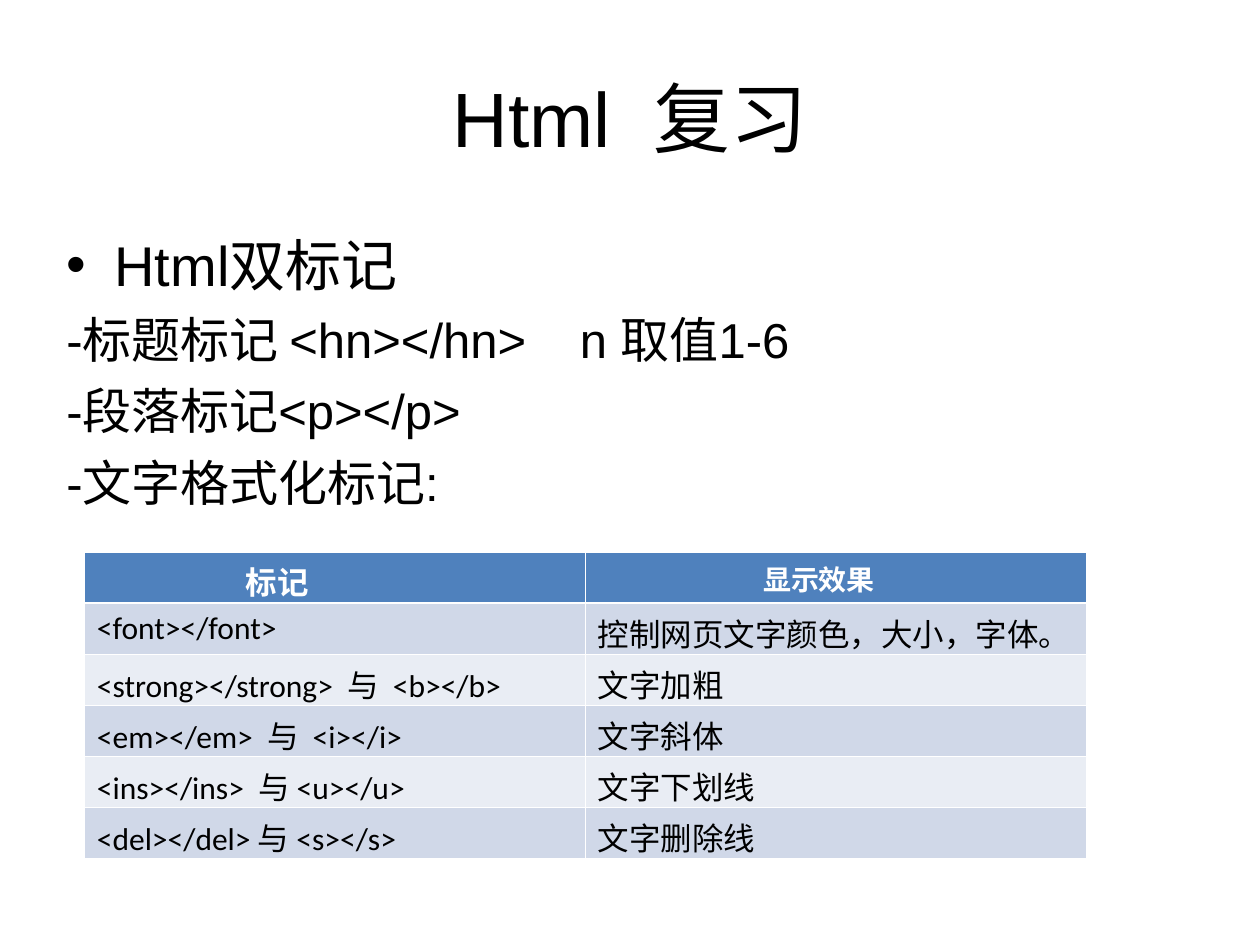
from dataclasses import dataclass

from lxml import etree
from pptx import Presentation
from pptx.dml.color import RGBColor
from pptx.enum.text import MSO_ANCHOR, PP_ALIGN
from pptx.oxml.ns import qn
from pptx.slide import Slide
from pptx.util import Cm, Pt

CENTER = PP_ALIGN.CENTER
LEFT = PP_ALIGN.LEFT
MIDDLE = MSO_ANCHOR.MIDDLE
TOP = MSO_ANCHOR.TOP

COLORS = {
    "ink": "000000",
    "paper": "FFFFFF",
    "header": "4F81BD",
    "odd": "D0D8E8",
    "even": "E9EDF4",
}
THIN, THICK = 0.45, 1.47

TITLE = ("Html", 12, "复习")
TOPIC = ("Html双标记",)
TAG_KINDS = [
    ("-标题标记 <hn></hn>", 23, "n 取值1-6"),
    ("-段落标记<p></p>",),
    ("-文字格式化标记:",),
]
HEADINGS = [("标记", 18, 3.0), ("显示效果", 16, 3.33)]
FORMAT_TAGS = [
    (("<font></font>",), "控制网页文字颜色，大小，字体。"),
    (("<strong></strong>", 4, "与", 4, "<b></b>"), "文字加粗"),
    (("<em></em>", 4, "与", 4, "<i></i>"), "文字斜体"),
    (("<ins></ins>", 4, "与 <u></u>"), "文字下划线"),
    (("<del></del> 与 <s></s>",), "文字删除线"),
]


@dataclass
class SlideBuilder:
    slide: Slide
    text_font: str = "Arial"
    table_font: str = "Calibri"

    def color(self, name):
        return RGBColor.from_string(COLORS[name])

    def add_runs(self, paragraph, pieces, size, font, color="ink", bold=False):
        for piece in pieces:
            run = paragraph.add_run()
            if isinstance(piece, str):
                run.text = piece
            else:
                run.text = " "
                run.font._element.set("spc", str(piece * 100))
            run.font.name = font
            run.font.size = Pt(size)
            run.font.bold = bold
            run.font.color.rgb = self.color(color)

    def text_box(self, left, top, width, height, anchor=TOP):
        box = self.slide.shapes.add_textbox(Cm(left), Cm(top), Cm(width), Cm(height))
        frame = box.text_frame
        frame.word_wrap = True
        frame.vertical_anchor = anchor
        return frame

    def title(self, pieces):
        frame = self.text_box(1.27, 0.76, 22.86, 3.18, MIDDLE)
        paragraph = frame.paragraphs[0]
        paragraph.alignment = CENTER
        self.add_runs(paragraph, pieces, 44, self.text_font)

    def hang(self, paragraph, bullet=None):
        properties = paragraph._p.get_or_add_pPr()
        properties.set("marL", str(Cm(0.97)))
        properties.set("indent", str(-Cm(0.97)))
        if bullet:
            font = etree.SubElement(properties, qn("a:buFont"))
            font.set("typeface", self.text_font)
            etree.SubElement(properties, qn("a:buChar")).set("char", bullet)
        else:
            etree.SubElement(properties, qn("a:buNone"))

    def outline(self, topic, lines):
        frame = self.text_box(1.09, 4.52, 22.86, 12.57)
        heading = frame.paragraphs[0]
        self.hang(heading, "•")
        self.add_runs(heading, topic, 32, self.text_font)
        for line in lines:
            paragraph = frame.add_paragraph()
            self.hang(paragraph)
            paragraph.space_before = Pt(7)
            self.add_runs(paragraph, line, 28, self.text_font)

    def borders(self, cell, top, bottom):
        properties = cell._tc.get_or_add_tcPr()
        widths = {"a:lnL": THIN, "a:lnR": THIN, "a:lnT": top, "a:lnB": bottom}
        for side, width in widths.items():
            line = etree.SubElement(properties, qn(side))
            line.set("w", str(Pt(width)))
            fill = etree.SubElement(line, qn("a:solidFill"))
            etree.SubElement(fill, qn("a:srgbClr")).set("val", COLORS["paper"])

    def cell(self, cell, pieces, fill, size=18, color="ink", bold=False,
             indent=0, top=THIN, bottom=THIN):
        self.borders(cell, top, bottom)
        cell.fill.solid()
        cell.fill.fore_color.rgb = self.color(fill)
        paragraph = cell.text_frame.paragraphs[0]
        paragraph.alignment = LEFT
        if indent:
            paragraph._p.get_or_add_pPr().set("marL", str(Cm(indent)))
        self.add_runs(paragraph, pieces, size, self.table_font, color, bold)

    def table(self, headings, rows):
        frame = self.slide.shapes.add_table(
            len(rows) + 1, len(headings), Cm(1.7), Cm(11.13), Cm(20.2), Cm(6.18))
        table = frame.table
        table.horz_banding = False
        for column, (label, size, indent) in enumerate(headings):
            self.cell(table.cell(0, column), (label,), "header", size, "paper",
                      True, indent, bottom=THICK)
        for number, (tags, effect) in enumerate(rows, 1):
            fill = "odd" if number % 2 else "even"
            top = THICK if number == 1 else THIN
            for column, pieces in enumerate((tags, (effect,))):
                self.cell(table.cell(number, column), pieces, fill, top=top)


def main():
    deck = Presentation()
    deck.slide_width, deck.slide_height = Cm(25.4), Cm(19.05)
    builder = SlideBuilder(deck.slides.add_slide(deck.slide_layouts[6]))
    builder.title(TITLE)
    builder.outline(TOPIC, TAG_KINDS)
    builder.table(HEADINGS, FORMAT_TAGS)
    deck.save("out.pptx")


if __name__ == "__main__":
    main()
